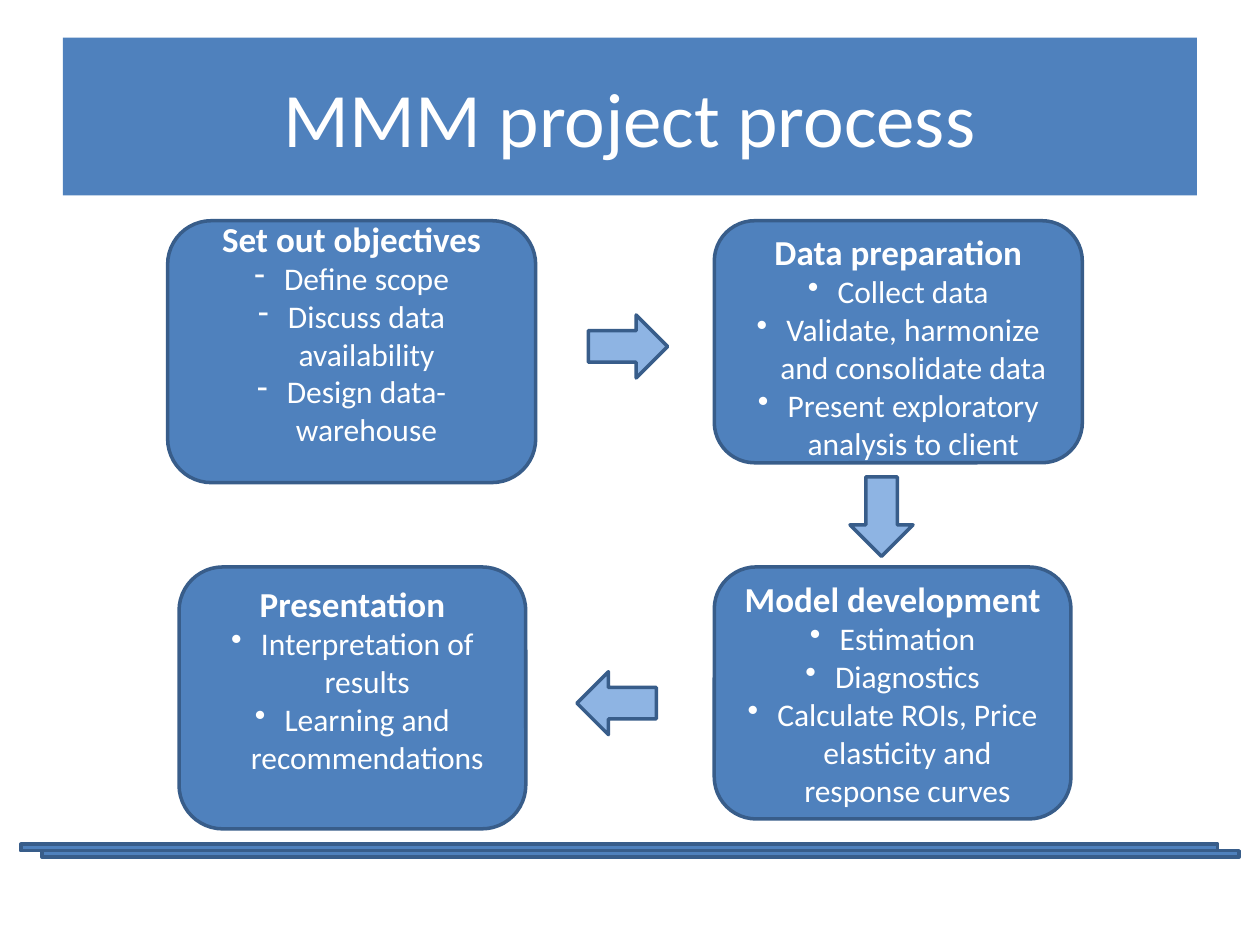
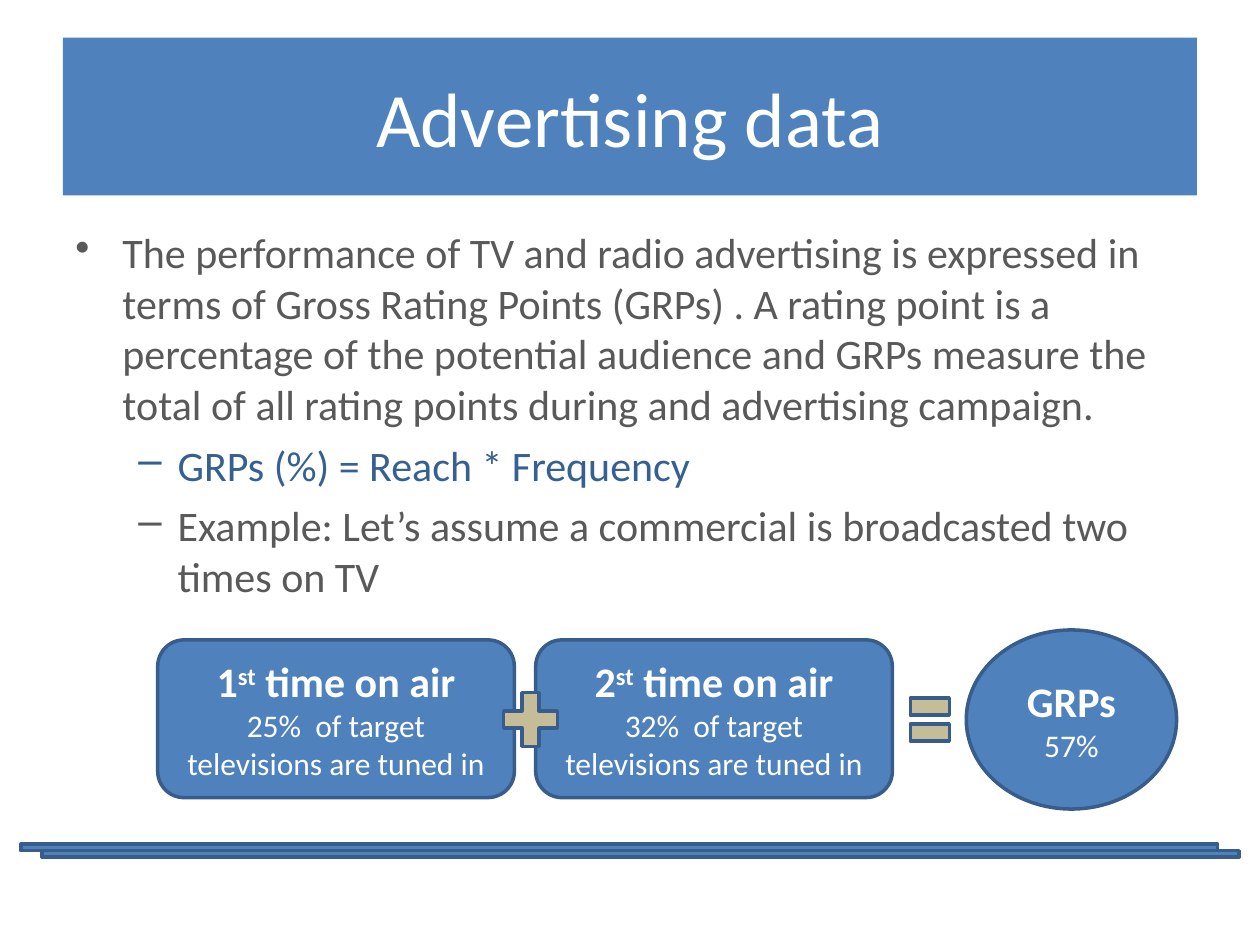
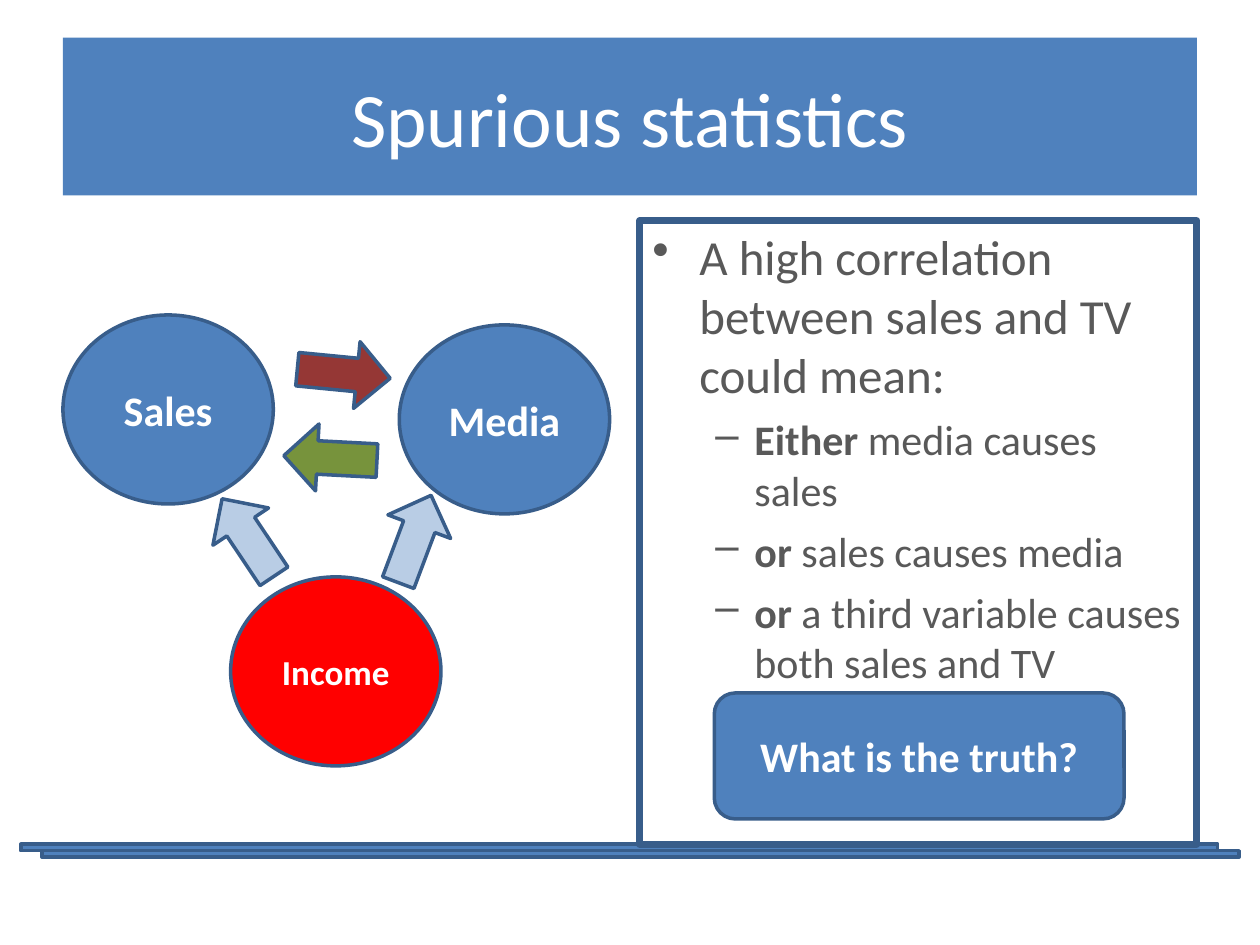
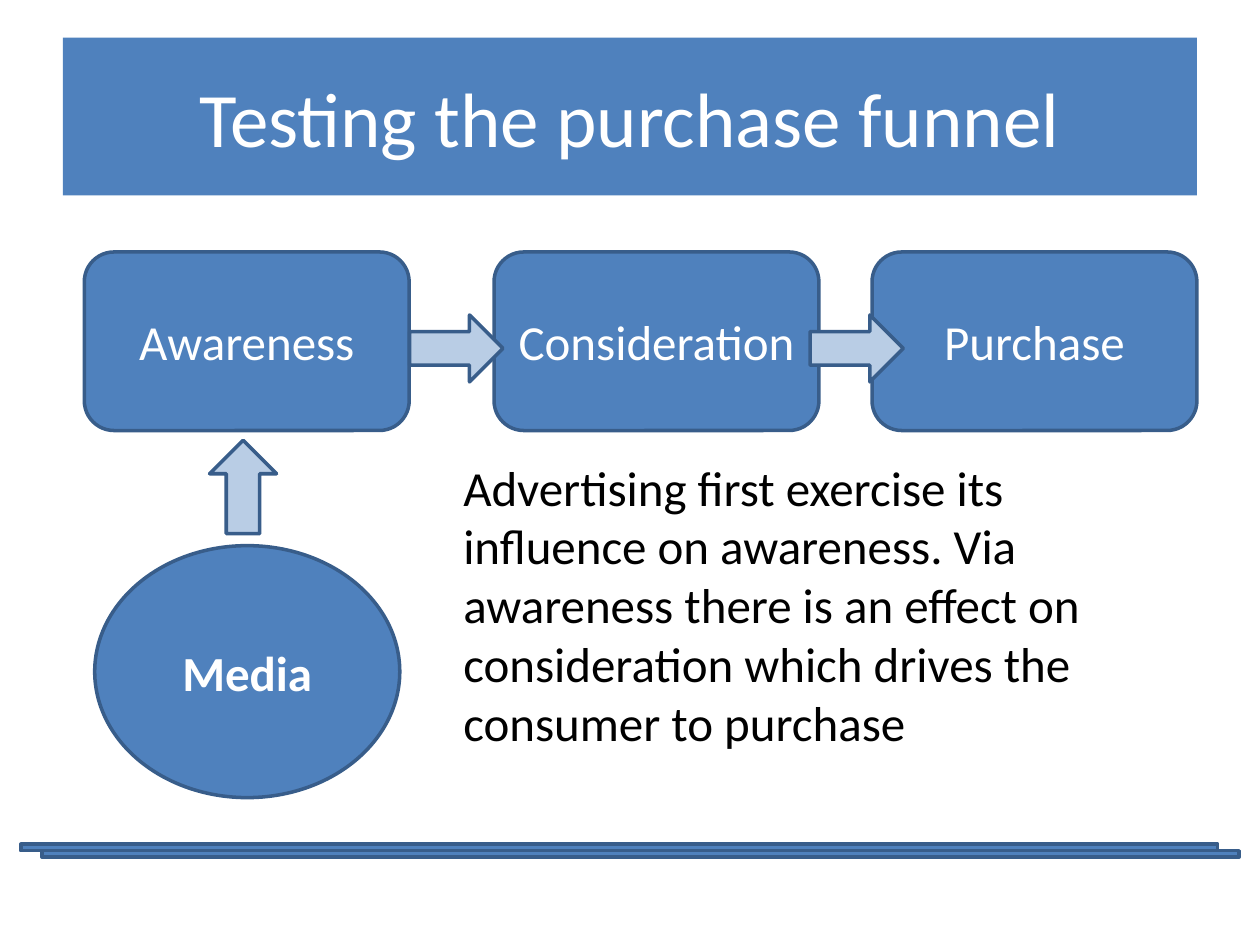
from lxml import etree
from pptx import Presentation
from pptx import util as u
from pptx.dml.color import RGBColor
from pptx.enum import shapes, text
from pptx.oxml import ns

FONT = "Calibri"
BLUE, EDGE, DEEP_BLUE = "4F81BD", "385D8A", "376092"
SKY, PALE, TAN = "8EB4E3", "B9CDE5", "C4BD97"
RED, MAROON, GREEN = "FF0000", "953735", "77933C"
WHITE, GREY, BLACK = "FFFFFF", "595959", "000000"

KIND = shapes.MSO_SHAPE
LEFT, CENTER = text.PP_ALIGN.LEFT, text.PP_ALIGN.CENTER
TOP, MIDDLE = text.MSO_ANCHOR.TOP, text.MSO_ANCHOR.MIDDLE
SMALL_ARROW, LARGE_ARROW = (1.6, 1.27), (1.88, 1.35)
BLANK_LAYOUT = 6


def rgb(color):
    return RGBColor.from_string(color)


def cm(values):
    return [u.Cm(value) for value in values]


def set_bullet(paragraph, character, margin, hanging):
    properties = paragraph._p.get_or_add_pPr()
    properties.set("marL", str(u.Cm(margin)))
    properties.set("indent", str(-u.Cm(hanging)))
    bullet = etree.SubElement(properties, ns.qn("a:buChar"))
    bullet.set("char", character)


def write(shape, content, size=18, color=WHITE, bold=False, align=CENTER,
          bullet=None, margin=0.6, hanging=0.6, before=0):
    """Add a paragraph; content is a string or a list of (string, style) runs.

    A run style is "", "bold" or "superscript".
    """
    frame = shape.text_frame
    first = frame.paragraphs[0]
    paragraph = frame.add_paragraph() if first.runs else first
    if bullet:
        set_bullet(paragraph, bullet, margin, hanging)
    paragraph.alignment = align
    paragraph.space_before = u.Pt(before)
    runs = [(content, "")] if isinstance(content, str) else content
    for words, style in runs:
        run = paragraph.add_run()
        run.text = words
        run.font.name = FONT
        run.font.size = u.Pt(size)
        run.font.bold = bold or style == "bold"
        run.font.color.rgb = rgb(color)
        if style == "superscript":
            run._r.get_or_add_rPr().set("baseline", "30000")


def add_figure(slide, kind, box, fill=BLUE, line=EDGE, width=2, anchor=MIDDLE):
    shape = slide.shapes.add_shape(kind, *cm(box))
    shape.shadow.inherit = False
    if fill:
        shape.fill.solid()
        shape.fill.fore_color.rgb = rgb(fill)
    else:
        shape.fill.background()
    if line:
        shape.line.color.rgb = rgb(line)
        shape.line.width = u.Pt(width)
    else:
        shape.line.fill.background()
    shape.text_frame.word_wrap = True
    shape.text_frame.vertical_anchor = anchor
    return shape


def add_label(slide, kind, box, label, size, bold=True, fill=BLUE):
    shape = add_figure(slide, kind, box, fill)
    write(shape, label, size, bold=bold)
    return shape


def add_arrow(slide, left, top, size, fill, rotation=0):
    arrow = add_figure(slide, KIND.RIGHT_ARROW, (left, top, *size), fill)
    arrow.rotation = rotation


def add_text_box(slide, box):
    text_box = slide.shapes.add_textbox(*cm(box))
    text_box.text_frame.word_wrap = True
    return text_box


def write_point(shape, content, size):
    write(shape, content, size, GREY, align=LEFT, bullet="•",
          margin=0.95, hanging=0.95)


def write_subpoint(shape, content, color=GREY):
    write(shape, content, 24, color, align=LEFT, bullet="–",
          margin=2.06, hanging=0.79, before=6)


def add_step(slide, box, heading, items, bullet="•", extra_top=0, extra_bottom=0):
    """Rounded box with a bold heading and centred bullets."""
    step = add_label(slide, KIND.ROUNDED_RECTANGLE, box, heading, 20)
    step.text_frame.margin_top = u.Cm(0.13 + extra_top)
    step.text_frame.margin_bottom = u.Cm(0.13 + extra_bottom)
    for item in items:
        write(step, item, bullet=bullet)


def add_slide(presentation, title):
    """Blank slide with the double footer bar and the title band."""
    slide = presentation.slides.add_slide(presentation.slide_layouts[BLANK_LAYOUT])
    for left, top in ((0.42, 17.02), (0.85, 17.15)):
        add_figure(slide, KIND.RECTANGLE, (left, top, 24.13, 0.13))
    band = add_figure(slide, KIND.RECTANGLE, (1.27, 0.76, 22.86, 3.18), line=None)
    write(band, title, 44)
    return slide


def build_process(presentation):
    slide = add_slide(presentation, "MMM project process")
    add_step(slide, (3.38, 4.45, 7.42, 5.28), "Set out objectives",
             ["Define scope", "Discuss data availability", "Design data-warehouse"],
             bullet="-", extra_bottom=0.77)
    add_step(slide, (14.4, 4.45, 7.42, 4.88), "Data preparation",
             ["Collect data", "Validate, harmonize and consolidate data",
              "Present exploratory analysis to client"], extra_top=0.17)
    add_step(slide, (14.4, 11.43, 7.19, 5.08), "Model development",
             ["Estimation", "Diagnostics",
              "Calculate ROIs, Price elasticity and response curves"])
    add_step(slide, (3.61, 11.43, 6.99, 5.28), "Presentation",
             ["Interpretation of results", "Learning and recommendations"],
             extra_bottom=0.77)
    for left, top, rotation in ((16.97, 9.78, 90), (11.63, 13.54, 180), (11.86, 6.35, 0)):
        add_arrow(slide, left, top, SMALL_ARROW, SKY, rotation)


def build_advertising(presentation):
    slide = add_slide(presentation, "Advertising data")
    body = add_text_box(slide, (1.27, 4.45, 22.86, 12.57))
    write_point(body, "The performance of TV and radio advertising is expressed in terms of "
                "Gross Rating Points (GRPs) . A rating point is a percentage of the "
                "potential audience and GRPs measure the total of all rating points "
                "during and advertising campaign.", 24)
    write_subpoint(body, "GRPs (%) = Reach * Frequency", DEEP_BLUE)
    write_subpoint(body, "Example: Let’s assume a commercial is broadcasted two times on TV")

    for left, number, share in ((3.18, "1", "25%"), (10.8, "2", "32%")):
        heading = [(number, ""), ("st", "superscript"), (" time on air", "")]
        airing = add_label(slide, KIND.ROUNDED_RECTANGLE, (left, 12.9, 7.19, 3.18),
                           heading, 24)
        write(airing, f"{share}  of target televisions are tuned in")
    total = add_label(slide, KIND.OVAL, (19.48, 12.7, 4.24, 3.61), "GRPs", 24)
    write(total, "57%")
    add_figure(slide, KIND.MATH_EQUAL, (18.21, 13.77, 1.07, 1.47), TAN)
    add_figure(slide, KIND.MATH_PLUS, (9.96, 13.77, 1.47, 1.47), TAN)


def build_spurious(presentation):
    slide = add_slide(presentation, "Spurious statistics")
    panel = add_figure(slide, KIND.RECTANGLE, (12.9, 4.45, 11.23, 12.57),
                       fill=None, width=4, anchor=TOP)
    write_point(panel, "A high correlation between sales and TV could mean:", 28)
    for lead, rest in (("Either", " media causes sales"),
                       ("or", " sales causes media"),
                       ("or", " a third variable causes both sales and TV")):
        write_subpoint(panel, [(lead, "bold"), (rest, "")])

    for label, left, top, size, fill in (("Sales", 1.27, 6.35, 24, BLUE),
                                         ("Media", 8.05, 6.55, 24, BLUE),
                                         ("Income", 4.65, 11.63, 20, RED)):
        add_label(slide, KIND.OVAL, (left, top, 4.24, 3.81), label, size, fill=fill)
    for left, top, fill, rotation in ((4.06, 10.16, PALE, 236.2),
                                      (7.42, 10.19, PALE, 290.6),
                                      (5.99, 6.86, MAROON, 5.6),
                                      (5.72, 8.56, GREEN, 183)):
        add_arrow(slide, left, top, LARGE_ARROW, fill, rotation)
    add_label(slide, KIND.ROUNDED_RECTANGLE, (14.4, 13.97, 8.26, 2.54),
              "What is the truth?", 24)


def build_funnel(presentation):
    slide = add_slide(presentation, "Testing the purchase funnel")
    for label, left in (("Awareness", 1.7), ("Consideration", 9.96), ("Purchase", 17.58)):
        add_label(slide, KIND.ROUNDED_RECTANGLE, (left, 5.08, 6.55, 3.6),
                  label, 28, bold=False)
    add_label(slide, KIND.OVAL, (1.91, 11, 6.15, 5.08), "Media", 28)
    for left, top, rotation in ((8.26, 6.35, 0), (16.33, 6.35, 0), (3.96, 9.14, 270)):
        add_arrow(slide, left, top, LARGE_ARROW, PALE, rotation)
    explanation = add_text_box(slide, (9.09, 9.09, 15.04, 7.37))
    write(explanation, "Advertising first exercise its influence on awareness. Via awareness "
          "there is an effect on consideration which drives the consumer to purchase",
          28, BLACK, align=LEFT)


def main():
    presentation = Presentation()
    presentation.slide_width, presentation.slide_height = cm((25.4, 19.05))
    build_process(presentation)
    build_advertising(presentation)
    build_spurious(presentation)
    build_funnel(presentation)
    presentation.save("out.pptx")


if __name__ == "__main__":
    main()
